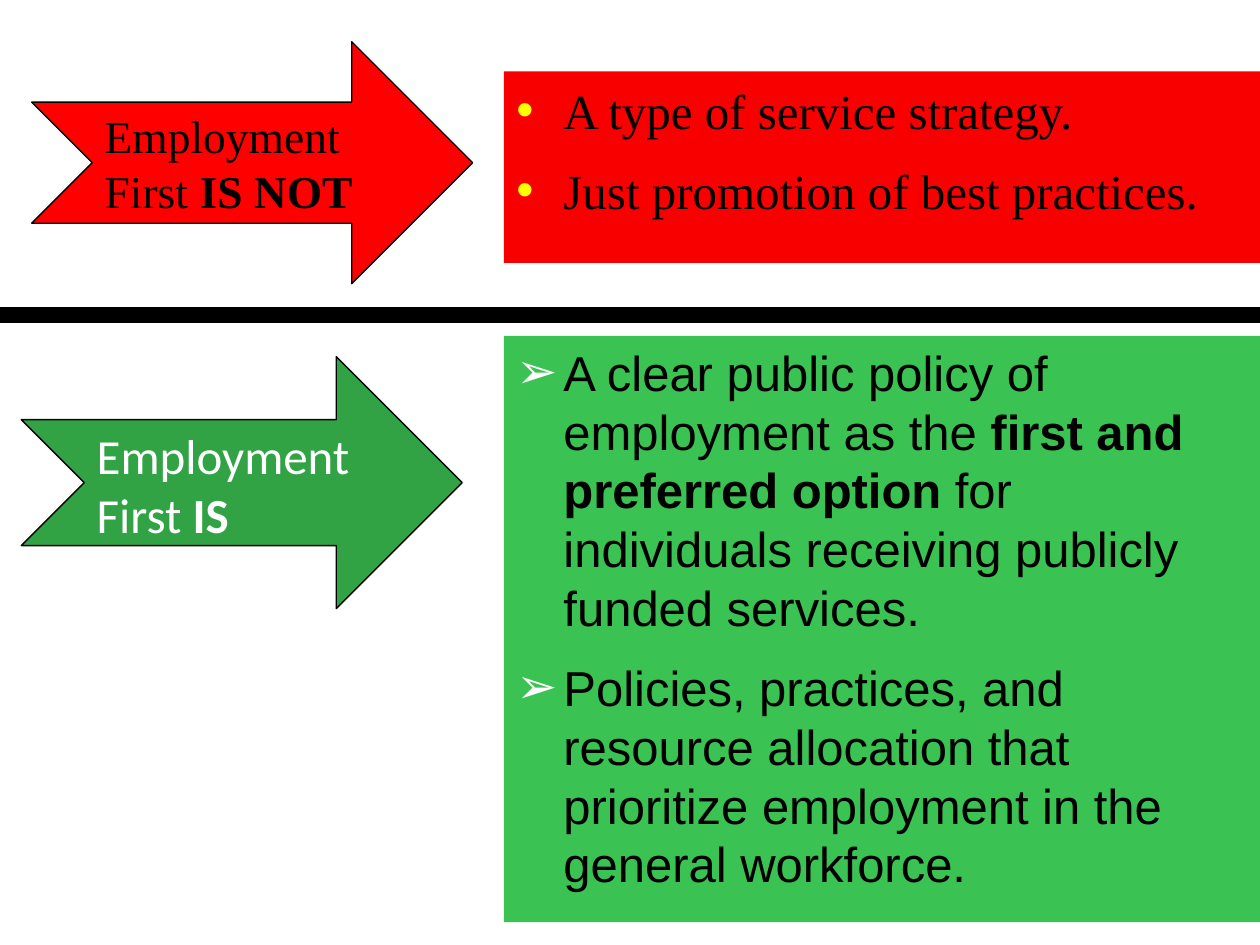
"""Build the Employment First slide: what it is not, and what it is."""
from dataclasses import dataclass

from lxml import etree
from pptx import Presentation
from pptx.dml.color import RGBColor
from pptx.enum.shapes import MSO_CONNECTOR, MSO_SHAPE
from pptx.enum.text import MSO_ANCHOR, PP_ALIGN
from pptx.oxml.ns import qn
from pptx.shapes.autoshape import Shape
from pptx.slide import Slide
from pptx.util import Cm, Pt

ARROW = MSO_SHAPE.NOTCHED_RIGHT_ARROW
RECT = MSO_SHAPE.RECTANGLE
LINE = MSO_CONNECTOR.STRAIGHT
TOP = MSO_ANCHOR.TOP
LEFT = PP_ALIGN.LEFT

BLACK = RGBColor(0x00, 0x00, 0x00)
WHITE = RGBColor(0xFF, 0xFF, 0xFF)
YELLOW = RGBColor(0xFF, 0xFF, 0x00)
RED = RGBColor(0xFF, 0x00, 0x00)
SCARLET = RGBColor(0xF9, 0x00, 0x00)
GREEN = RGBColor(0x31, 0xA3, 0x45)
LIME = RGBColor(0x3A, 0xC2, 0x52)

WIDE = Cm(25.4)
HIGH = Cm(19.05)
SPLIT = Cm(6.35)
INDENT = Cm(0.95)

Piece = tuple[str, bool]


@dataclass
class Style:
    font: str
    size: float
    color: RGBColor


@dataclass
class Arrow:
    left: float
    top: float
    height: float
    fill: RGBColor
    style: Style
    words: list[Piece]


@dataclass
class Panel:
    top: float
    height: float
    inset: float
    fill: RGBColor
    style: Style
    mark: str
    tint: RGBColor
    points: list[list[Piece]]


ARROWS = [
    Arrow(0.64, 0.84, 4.88, RED, Style("Times New Roman", 26, BLACK),
          [("Employment First ", False), ("IS NOT", True)]),
    Arrow(0.43, 7.19, 5.08, GREEN, Style("Calibri", 28, WHITE),
          [("Employment First ", False), ("IS", True)]),
]
PANELS = [
    Panel(6.77, 11.82, 0.13, LIME, Style("Arial", 28, BLACK), "➢", WHITE, [
        [("A clear public policy of employment as the ", False),
         ("first and preferred option ", True),
         ("for individuals receiving publicly funded services.", False)],
        [("Policies, practices, and resource allocation that prioritize "
          "employment in the general workforce.", False)],
    ]),
    Panel(1.44, 3.86, 0.18, SCARLET, Style("Times New Roman", 28, BLACK), "•", YELLOW, [
        [("A type of service strategy.", False)],
        [("Just promotion of best practices.", False)],
    ]),
]


def add_runs(para, words: list[Piece], style: Style) -> None:
    para.alignment = LEFT
    for text, bold in words:
        run = para.add_run()
        run.text = text
        font = run.font
        font.name, font.size, font.bold = style.font, Pt(style.size), bold
        font.color.rgb = style.color


def add_mark(para, mark: str, tint: RGBColor) -> None:
    props = para._p.get_or_add_pPr()
    props.set("marL", str(INDENT))
    props.set("indent", str(-INDENT))
    color = etree.SubElement(props, qn("a:buClr"))
    etree.SubElement(color, qn("a:srgbClr"), val=str(tint))
    etree.SubElement(props, qn("a:buFont"), typeface="Arial")
    etree.SubElement(props, qn("a:buChar"), char=mark)


def set_base(shape: Shape, fill: RGBColor) -> None:
    shape.shadow.inherit = False
    shape.fill.solid()
    shape.fill.fore_color.rgb = fill
    shape.text_frame.word_wrap = True
    shape.text_frame.vertical_anchor = TOP


def draw_arrow(slide: Slide, arrow: Arrow) -> None:
    shape = slide.shapes.add_shape(
        ARROW, Cm(arrow.left), Cm(arrow.top), Cm(8.89), Cm(arrow.height))
    set_base(shape, arrow.fill)
    shape.line.color.rgb = BLACK
    shape.line.width = Pt(0.75)
    add_runs(shape.text_frame.paragraphs[0], arrow.words, arrow.style)


def draw_panel(slide: Slide, panel: Panel) -> None:
    left = Cm(10.16)
    shape = slide.shapes.add_shape(
        RECT, left, Cm(panel.top), WIDE - left, Cm(panel.height))
    set_base(shape, panel.fill)
    shape.line.fill.background()
    frame = shape.text_frame
    frame.margin_top = Cm(panel.inset)
    for order, words in enumerate(panel.points):
        para = frame.add_paragraph() if order else frame.paragraphs[0]
        if order:
            para.space_before = Pt(12)
        add_mark(para, panel.mark, panel.tint)
        add_runs(para, words, panel.style)


def draw_split(slide: Slide) -> None:
    line = slide.shapes.add_connector(LINE, 0, SPLIT, WIDE, SPLIT)
    line.line.color.rgb = BLACK
    line.line.width = Pt(9.5)
    etree.SubElement(line._element.spPr, qn("a:effectLst"))


def main() -> None:
    deck = Presentation()
    deck.slide_width, deck.slide_height = WIDE, HIGH
    slide = deck.slides.add_slide(deck.slide_layouts[6])
    for arrow in ARROWS:
        draw_arrow(slide, arrow)
    draw_split(slide)
    for panel in PANELS:
        draw_panel(slide, panel)
    deck.save("out.pptx")


if __name__ == "__main__":
    main()
